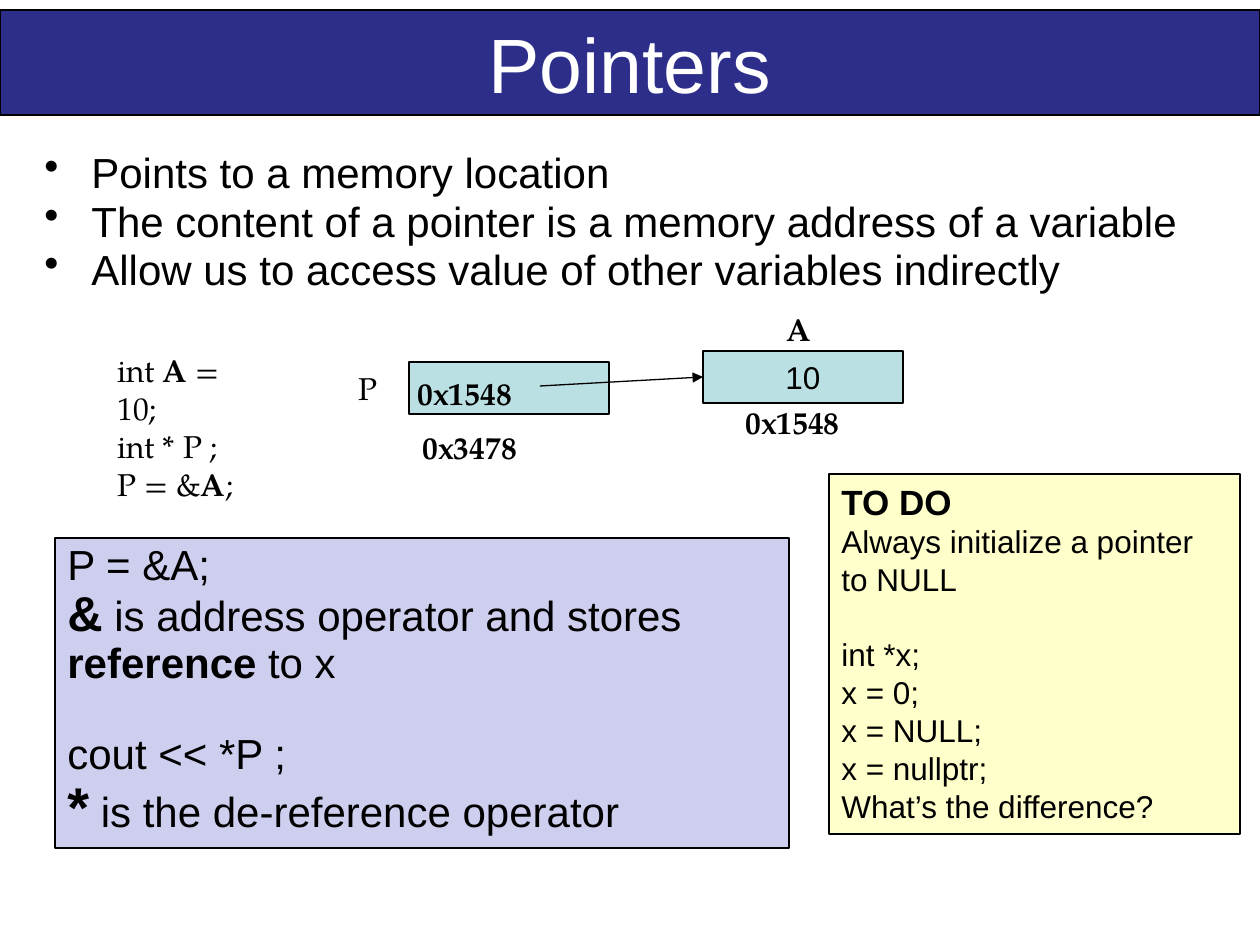
from lxml import etree
from pptx import Presentation
from pptx import util as u
from pptx.dml.color import RGBColor
from pptx.enum import shapes, text
from pptx.oxml.ns import qn

PX = u.Inches(1) // 126
SERIF = "TeX Gyre Pagella"
SANS = "Arial"


def color(value):
    return RGBColor.from_string(value)


def add_box(bounds, paragraphs=(), fill=None, font=SANS, size=18, ink="000000",
            align=text.PP_ALIGN.LEFT, anchor=text.MSO_ANCHOR.TOP, spacing=None):
    lengths = [value * PX for value in bounds]
    if fill:
        shape = slide.shapes.add_shape(shapes.MSO_SHAPE.RECTANGLE, *lengths)
        shape.shadow.inherit = False
        shape.fill.solid()
        shape.fill.fore_color.rgb = color(fill)
        shape.line.color.rgb = color("000000")
        shape.line.width = u.Pt(0.75)
    else:
        shape = slide.shapes.add_textbox(*lengths)
    frame = shape.text_frame
    frame.word_wrap = True
    frame.vertical_anchor = anchor
    for index, runs in enumerate(paragraphs):
        paragraph = frame.paragraphs[0] if index == 0 else frame.add_paragraph()
        paragraph.alignment = align
        paragraph.line_spacing = spacing
        paragraph.font.name = font
        paragraph.font.size = u.Pt(size)
        paragraph.font.color.rgb = color(ink)
        for content, bold, run_size in runs:
            run = paragraph.add_run()
            run.text = content
            if len(runs) == 1:
                paragraph.font.bold = bold
                paragraph.font.size = u.Pt(run_size or size)
            else:
                run.font.bold = bold
                run.font.size = u.Pt(run_size or size)
    return shape


presentation = Presentation()
presentation.slide_width = 1260 * PX
presentation.slide_height = 945 * PX
slide = presentation.slides.add_slide(presentation.slide_layouts[6])

add_box((0, 10, 1260, 105), [[("Pointers", False, None)]], fill="2D2D8A", size=44,
        ink="FFFFFF", align=text.PP_ALIGN.CENTER, anchor=text.MSO_ANCHOR.MIDDLE)

points = [
    "Points to a memory location",
    "The content of a pointer is a memory address of a variable",
    "Allow us to access value of other variables indirectly",
]
body = add_box((32, 140, 1166, 160))
for index, point in enumerate(points):
    frame = body.text_frame
    paragraph = frame.paragraphs[0] if index == 0 else frame.add_paragraph()
    paragraph.text = point
    if index:
        paragraph.line_spacing = 0.8
        paragraph.space_before = u.Pt(4.8)
    properties = paragraph._p.get_or_add_pPr()
    properties.set("marL", str(47 * PX))
    properties.set("indent", str(-47 * PX))
    etree.SubElement(properties, qn("a:buChar")).set("char", "•")
    paragraph.font.name = SANS
    paragraph.font.size = u.Pt(24)
    paragraph.font.color.rgb = color("000000")

add_box((105, 345, 171, 164), [
    [("int ", False, None), ("A", True, None), (" = 10;", False, None)],
    [("int * P ;", False, None)],
    [("P = &", False, None), ("A", True, None), (";", False, None)],
], font=SERIF)

add_box((409, 362, 200, 52), fill="BBE0E3")
variable = add_box((703, 351, 200, 52), [[("10", False, None)]], fill="BBE0E3",
                   align=text.PP_ALIGN.CENTER, anchor=text.MSO_ANCHOR.MIDDLE)

arrow = slide.shapes.add_connector(
    shapes.MSO_CONNECTOR.STRAIGHT, 540 * PX, 386 * PX, 703 * PX, 377 * PX)
arrow.end_connect(variable, 1)
arrow.line.color.rgb = color("000000")
arrow.line.width = u.Pt(0.75)
etree.SubElement(arrow.line._get_or_add_ln(), qn("a:tailEnd")).set("type", "triangle")
etree.SubElement(arrow._element.spPr, qn("a:effectLst"))

labels = [
    ("P", 346, 363, 44, False),
    ("A", 774, 304, 343, True),
    ("0x1548", 733, 397, 343, True),
    ("0x1548", 405, 368, 135, True),
    ("0x3478", 410, 422, 343, True),
]
for label, left, top, width, bold in labels:
    add_box((left, top, width, 50), [[(label, bold, None)]], font=SERIF)

operators = add_box((55, 538, 734, 310), [
    [("P = &A;", False, None)],
    [("&", True, 28), (" is address operator and stores ", False, None),
     ("reference", True, None), (" to x", False, None)],
    [("cout << *P ;", False, None)],
    [("*", True, 32), (" is the de-reference operator", False, None)],
], fill="CECEEF", size=24, spacing=0.9)
operators.text_frame.paragraphs[2].space_before = u.Pt(26)

reminders = ["Always initialize a pointer to NULL", "int *x;", "x = 0;", "x = NULL;",
             "x = nullptr;", "What’s the difference?"]
todo = add_box((829, 474, 411, 360), [[("TO DO", True, 20)]]
               + [[(line, False, None)] for line in reminders], fill="FFFFCC")
todo.text_frame.paragraphs[2].space_before = u.Pt(21.5)

presentation.save("out.pptx")
